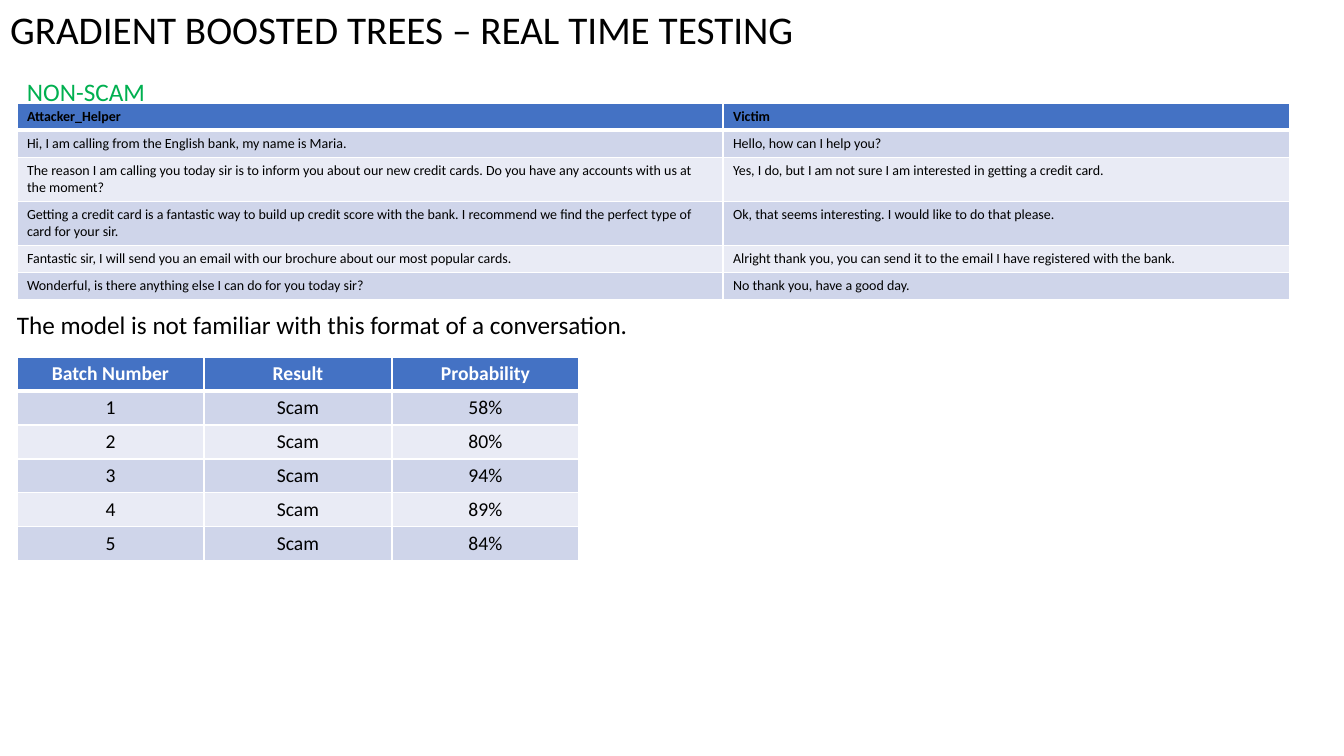
from lxml import etree
from pptx import Presentation
from pptx import util as u
from pptx.dml.color import RGBColor
from pptx.enum import text
from pptx.oxml import ns

FONT = "Calibri"
HUES = {"black": "000000", "white": "FFFFFF", "green": "00B050",
        "head": "4472C4", "odd": "CFD5EA", "even": "E9EBF5"}
TALK = [
    ("Attacker_Helper", "Victim"),
    ("Hi, I am calling from the English bank, my name is Maria.",
     "Hello, how can I help you?"),
    ("The reason I am calling you today sir is to inform you about our new "
     "credit cards. Do you have any accounts with us at the moment?",
     "Yes, I do, but I am not sure I am interested in getting a credit card."),
    ("Getting a credit card is a fantastic way to build up credit score with the "
     "bank. I recommend we find the perfect type of card for your sir.",
     "Ok, that seems interesting. I would like to do that please."),
    ("Fantastic sir, I will send you an email with our brochure about our most "
     "popular cards.",
     "Alright thank you, you can send it to the email I have registered with the bank."),
    ("Wonderful, is there anything else I can do for you today sir?",
     "No thank you, have a good day."),
]
ODDS = ["58%", "80%", "94%", "89%", "84%"]
BATCH = [("Batch Number", "Result", "Probability")] + [
    (str(n), "Scam", odd) for n, odd in enumerate(ODDS, 1)]


def px(n):
    """Turn slide pixels into EMU."""
    return u.Emu(round(n * 914400 / 100.8))


def tint(hue):
    """Return the named colour."""
    return RGBColor.from_string(HUES[hue])


def write(frame, words, size, hue="black", bold=False, align=text.PP_ALIGN.LEFT):
    """Put one formatted paragraph in a text frame."""
    para = frame.paragraphs[0]
    para.alignment = align
    run = para.add_run()
    run.text = words
    font = run.font
    font.name, font.size, font.bold = FONT, u.Pt(size), bold
    font.color.rgb = tint(hue)


def edge(cell, side, width):
    """Draw a white border on one side of a cell."""
    props = cell._tc.get_or_add_tcPr()
    line = etree.SubElement(props, ns.qn(f"a:ln{side}"), w=str(u.Pt(width)))
    fill = etree.SubElement(line, ns.qn("a:solidFill"))
    etree.SubElement(fill, ns.qn("a:srgbClr"), val=HUES["white"])


def title(slide, box, words):
    """Place the slide title in its box."""
    head = slide.shapes.title
    head.left, head.top, head.width, head.height = map(px, box)
    frame = head.text_frame
    frame.word_wrap = True
    frame.auto_size = text.MSO_AUTO_SIZE.NONE
    frame.vertical_anchor = text.MSO_ANCHOR.MIDDLE
    write(frame, words, 28)


def label(slide, box, words, hue="black"):
    """Place a single-line label in its box."""
    frame = slide.shapes.add_textbox(*map(px, box)).text_frame
    frame.word_wrap = False
    frame.auto_size = text.MSO_AUTO_SIZE.SHAPE_TO_FIT_TEXT
    write(frame, words, 18, hue)


def grid(slide, spot, cols, tall, rows, size, hue, align):
    """Place a banded table with its top left corner at the spot."""
    box = (*spot, sum(cols), sum(tall))
    table = slide.shapes.add_table(len(rows), len(cols), *map(px, box)).table
    for col, wide in zip(table.columns, cols):
        col.width = px(wide)
    for r, row in enumerate(rows):
        table.rows[r].height = px(tall[r])
        band = "head" if r == 0 else "odd" if r % 2 else "even"
        for c, words in enumerate(row):
            cell = table.cell(r, c)
            for side in "LRTB":
                thick = (r, side) in ((0, "B"), (1, "T"))
                edge(cell, side, 3 if thick else 1)
            cell.fill.solid()
            cell.fill.fore_color.rgb = tint(band)
            write(cell.text_frame, words, size, "black" if r else hue, r == 0, align)


def main():
    """Build and save the slide."""
    deck = Presentation()
    deck.slide_width, deck.slide_height = px(1344), px(756)
    slide = deck.slides.add_slide(deck.slide_layouts[5])
    title(slide, (0, 0, 1344, 58), "GRADIENT BOOSTED TREES – REAL TIME TESTING")
    grid(slide, (17, 357), [187, 188, 187], [34] * 6, BATCH, 14, "white",
         text.PP_ALIGN.CENTER)
    grid(slide, (17, 103), [706, 567], [27, 27, 44, 44, 27, 27], TALK, 10, "black",
         text.PP_ALIGN.LEFT)
    label(slide, (17, 71, 139, 40), "NON-SCAM", "green")
    label(slide, (7, 304, 638, 40),
          "The model is not familiar with this format of a conversation.")
    deck.save("out.pptx")


if __name__ == "__main__":
    main()
